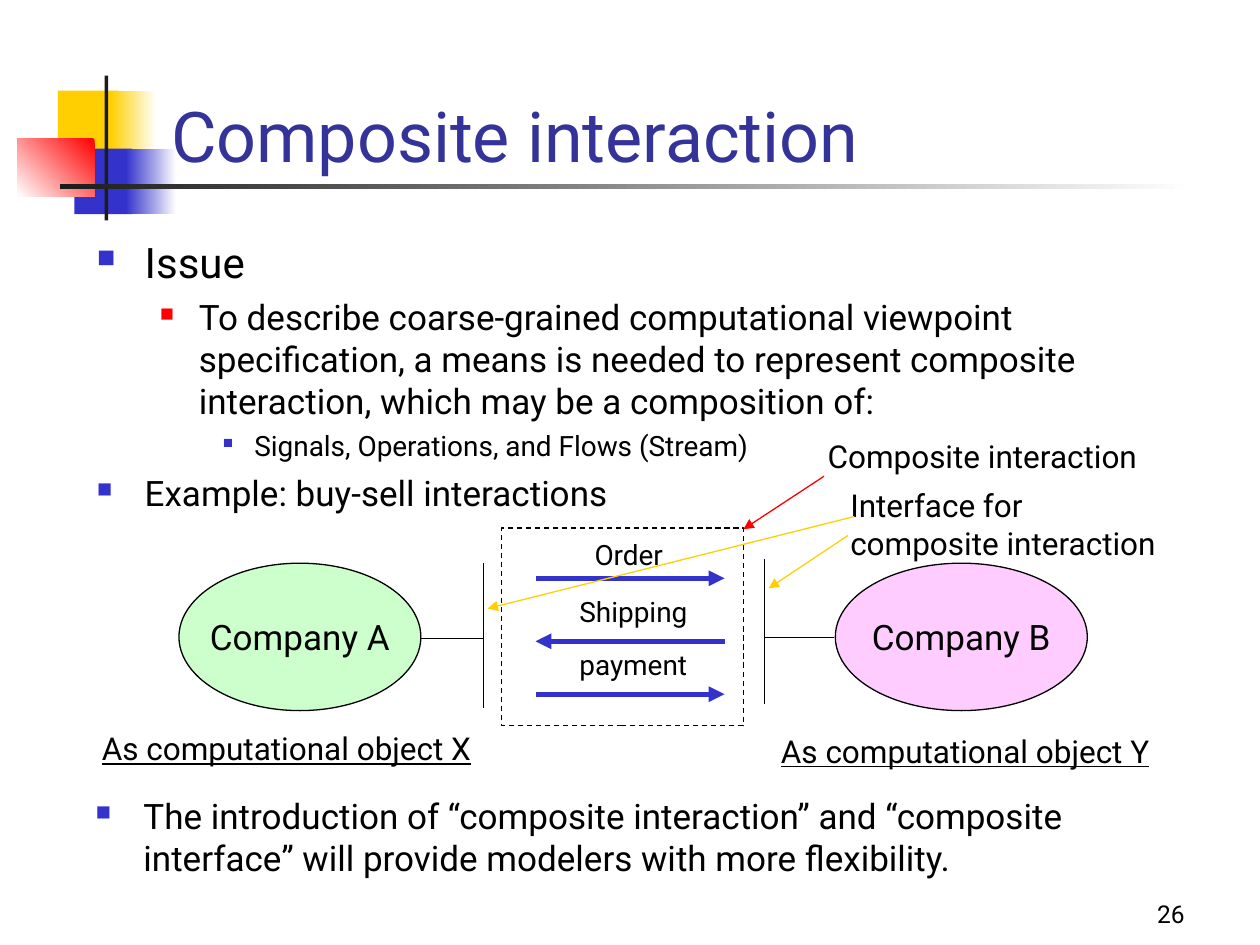
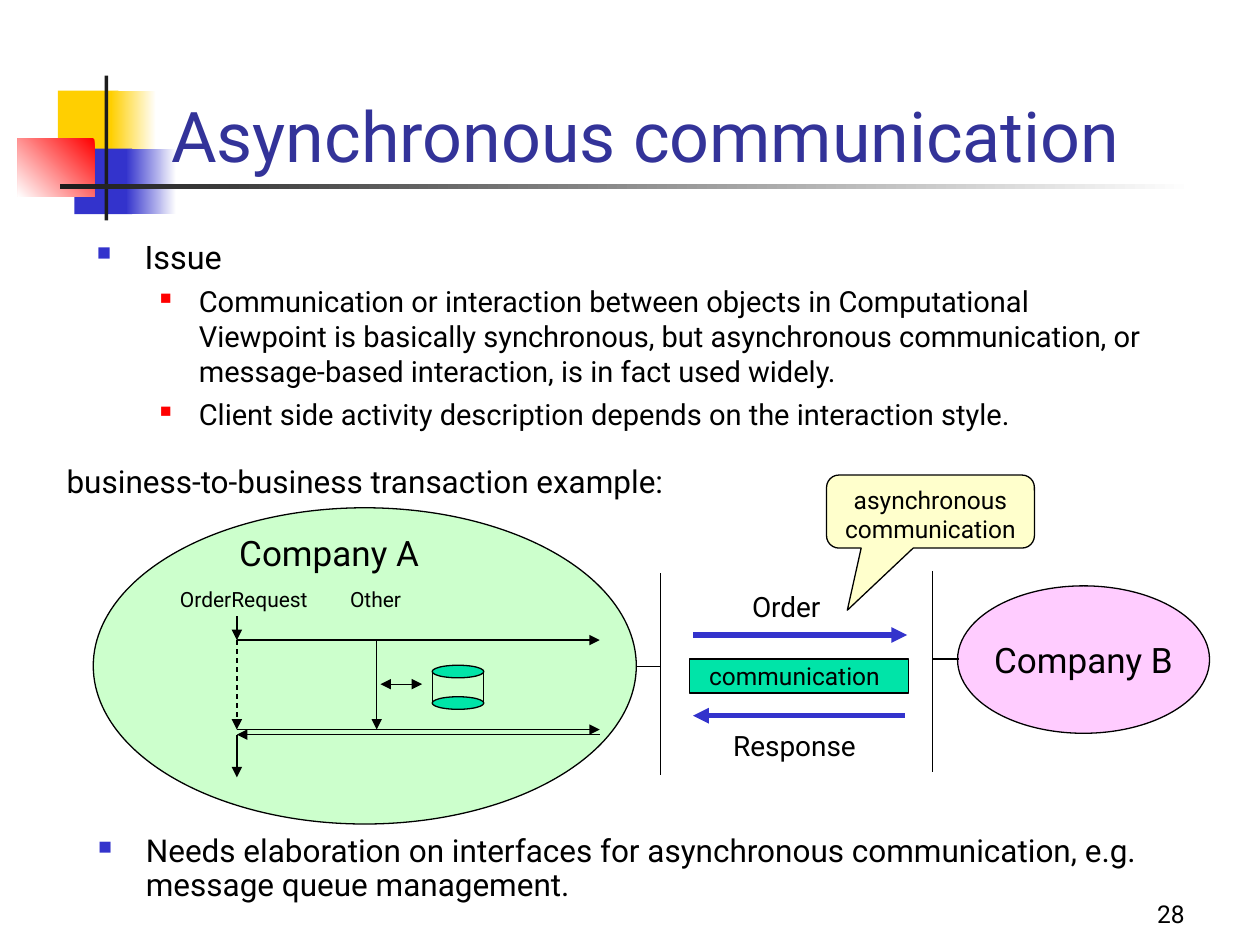
from lxml import etree
from pptx import Presentation
from pptx.dml.color import RGBColor
from pptx.enum.dml import MSO_LINE_DASH_STYLE as Dash
from pptx.enum.shapes import MSO_CONNECTOR_TYPE as Connector
from pptx.enum.shapes import MSO_SHAPE as Shape
from pptx.enum.text import MSO_ANCHOR as Anchor
from pptx.enum.text import MSO_AUTO_SIZE as AutoSize
from pptx.enum.text import PP_ALIGN as Align
from pptx.oxml.ns import qn
from pptx.util import Inches, Pt

FONT = "Roboto"
BLACK = RGBColor(0x00, 0x00, 0x00)
WHITE = RGBColor(0xFF, 0xFF, 0xFF)
CHARCOAL = RGBColor(0x1C, 0x1C, 0x1C)
TITLE_BLUE = RGBColor(0x33, 0x33, 0x99)
BLUE = RGBColor(0x33, 0x33, 0xCC)
RED = RGBColor(0xFF, 0x00, 0x00)
YELLOW = RGBColor(0xFF, 0xCF, 0x01)
PALE_GREEN = RGBColor(0xCC, 0xFF, 0xCC)
PALE_PINK = RGBColor(0xFF, 0xCC, 0xFF)
PALE_YELLOW = RGBColor(0xFF, 0xFF, 0xCC)
TEAL = RGBColor(0x00, 0xE4, 0xA8)

# Text indent, hanging indent, bullet colour, bullet size in percent
LEVELS = [
    (0.38, 0.38, BLUE, 60),
    (0.81, 0.31, RED, 55),
    (1.25, 0.25, BLUE, 50),
]


def write(para, text, size=18, color=BLACK, align=Align.LEFT, underline=False):
    """Add the text to the paragraph as one formatted span."""
    para.alignment = align
    span = para.add_run()
    span.text = text
    span.font.name = FONT
    span.font.size = Pt(size)
    span.font.color.rgb = color
    if underline:
        span.font.underline = True


def add_text(page, place, text, anchor=Anchor.TOP, **style):
    box = page.shapes.add_textbox(*map(Inches, place))
    box.text_frame.word_wrap = True
    box.text_frame.vertical_anchor = anchor
    write(box.text_frame.paragraphs[0], text, **style)


def add_label(page, left, top, width, text, size=18, **style):
    """Add unwrapped text, one paragraph for each line."""
    lines = text.split("\n")
    height = 0.1 + 0.017 * size * len(lines)
    box = page.shapes.add_textbox(*map(Inches, (left, top, width, height)))
    frame = box.text_frame
    frame.word_wrap = False
    frame.auto_size = AutoSize.SHAPE_TO_FIT_TEXT
    for index, line in enumerate(lines):
        para = frame.add_paragraph() if index else frame.paragraphs[0]
        write(para, line, size=size, **style)


def set_bullet(para, level):
    indent, hanging, color, percent = LEVELS[level]
    props = para._p.get_or_add_pPr()
    props.set("marL", str(Inches(indent)))
    props.set("indent", str(-Inches(hanging)))
    bullet_color = etree.SubElement(props, qn("a:buClr"))
    etree.SubElement(bullet_color, qn("a:srgbClr"), val=str(color))
    etree.SubElement(props, qn("a:buSzPct"), val=str(percent * 1000))
    etree.SubElement(props, qn("a:buChar"), char="■")


def add_bullets(page, place, items, line_spacing=None):
    """Add a list of (level, size, space before, text)."""
    box = page.shapes.add_textbox(*map(Inches, place))
    frame = box.text_frame
    frame.word_wrap = True
    for index, (level, size, space, text) in enumerate(items):
        para = frame.add_paragraph() if index else frame.paragraphs[0]
        set_bullet(para, level)
        if index:
            para.space_before = Pt(space)
        if line_spacing:
            para.line_spacing = line_spacing
        write(para, text, size=size)


def add_figure(page, kind, place, fill=None, line=BLACK, dash=None):
    figure = page.shapes.add_shape(kind, *map(Inches, place))
    figure.shadow.inherit = False
    if fill is None:
        figure.fill.background()
    else:
        figure.fill.solid()
        figure.fill.fore_color.rgb = fill
    if line is None:
        figure.line.fill.background()
    else:
        figure.line.color.rgb = line
        figure.line.width = Pt(0.75)
    if dash:
        figure.line.dash_style = dash
    return figure


def add_gradient(page, place, start, end, angle=180):
    bar = add_figure(page, Shape.RECTANGLE, place, line=None)
    bar.fill.gradient()
    bar.fill.gradient_angle = angle
    for stop, color, position in zip(bar.fill.gradient_stops, (start, end), (0, 1)):
        stop.color.rgb = color
        stop.position = position


def add_line(page, start, end, color=BLACK, width=0.75, dash=None, head=False, tail=False):
    """Draw a line, with an arrowhead at its start (head) or end (tail)."""
    line = page.shapes.add_connector(Connector.STRAIGHT, *map(Inches, (*start, *end)))
    line.line.color.rgb = color
    line.line.width = Pt(width)
    if dash:
        line.line.dash_style = dash
    for wanted, tag in ((head, "a:headEnd"), (tail, "a:tailEnd")):
        if wanted:
            etree.SubElement(line.get_or_add_ln(), qn(tag), type="triangle")
    etree.SubElement(line._element.spPr, qn("a:effectLst"))


def add_arrow(page, start, end, **style):
    add_line(page, start, end, tail=True, **style)


def add_message(page, start, end):
    add_arrow(page, start, end, color=BLUE, width=3)


def add_company(page, left, top, width, name, fill):
    ellipse = add_figure(page, Shape.OVAL, (left, top, width, 1.17), fill)
    frame = ellipse.text_frame
    frame.word_wrap = False
    frame.vertical_anchor = Anchor.MIDDLE
    write(frame.paragraphs[0], name, size=20, align=Align.CENTER)


def add_store(page, left, top, width=0.41, lid=0.1, height=0.25):
    """Draw a data store as a cylinder with two lids."""
    middle = top + lid / 2
    for lid_top in (top, top + height):
        add_figure(page, Shape.OVAL, (left, lid_top, width, lid), TEAL)
    for x in (left, left + width):
        add_line(page, (x, middle), (x, middle + height))


def add_page(deck, title, number):
    """Add a slide with the corner ornament, the title and the number."""
    page = deck.slides.add_slide(deck.slide_layouts[6])
    add_figure(page, Shape.RECTANGLE, (0.46, 0.72, 0.48, 0.52), YELLOW, line=None)
    add_gradient(page, (0.88, 0.72, 0.36, 0.52), WHITE, YELLOW)
    add_figure(page, Shape.RECTANGLE, (0.59, 1.18, 0.46, 0.52), BLUE, line=None)
    add_gradient(page, (1, 1.18, 0.4, 0.52), WHITE, BLUE)
    add_gradient(page, (0.14, 1.1, 0.61, 0.46), RED, WHITE, angle=225)
    add_figure(page, Shape.RECTANGLE, (0.83, 0.6, 0.03, 1.15), CHARCOAL, line=None)
    add_gradient(page, (0.48, 1.46, 9, 0.04), WHITE, CHARCOAL)
    add_text(page, (1.26, 0.52, 8.52, 0.93), title, anchor=Anchor.BOTTOM,
             size=40, color=TITLE_BLUE)
    add_text(page, (7.42, 6.92, 2.08, 0.5), str(number), anchor=Anchor.BOTTOM,
             size=14, align=Align.RIGHT)
    return page


def build_composite(deck):
    page = add_page(deck, "Composite interaction", 26)
    add_bullets(page, (0.67, 1.83, 8.92, 4.5), [
        (0, 24, 6, "Issue"),
        (1, 20, 5, "To describe coarse-grained computational viewpoint specification, "
                   "a means is needed to represent composite interaction, "
                   "which may be a composition of:"),
        (2, 16, 4, "Signals, Operations, and Flows (Stream)"),
        (0, 20, 5, "Example: buy-sell interactions"),
    ])

    add_company(page, 1.42, 4.47, 1.92, "Company A", PALE_GREEN)
    add_company(page, 6.63, 4.47, 2, "Company B", PALE_PINK)
    add_label(page, 0.71, 5.74, 3.25, "As computational object X", underline=True)
    add_label(page, 6.1, 5.76, 3.24, "As computational object Y", underline=True)

    buyer_side, seller_side = 4.25, 5.75
    for text, left, top, width, y, start, end in (
        ("Order", 4.62, 4.22, 0.82, 4.59, buyer_side, seller_side),
        ("Shipping", 4.5, 4.67, 1.12, 5.09, seller_side, buyer_side),
        ("payment", 4.5, 5.09, 1.12, 5.51, buyer_side, seller_side),
    ):
        add_message(page, (start, y), (end, y))
        add_label(page, left, top, width, text, size=16)

    for x, top in ((3.84, 4.47), (6.07, 4.44)):
        add_line(page, (x, top), (x, top + 1.15))
    add_line(page, (3.34, 5.07), (3.84, 5.07))
    add_line(page, (6.07, 5.06), (6.62, 5.06))
    add_figure(page, Shape.RECTANGLE, (3.98, 4.19, 1.92, 1.57), dash=Dash.DASH)

    add_arrow(page, (6.54, 3.78), (5.9, 4.2), color=RED)
    add_label(page, 6.47, 3.42, 2.8, "Composite interaction")
    add_arrow(page, (6.73, 4.25), (6.1, 4.67), color=YELLOW)
    add_label(page, 6.65, 3.81, 2.76, "Interface for\ncomposite interaction")
    add_arrow(page, (6.78, 4.1), (3.87, 4.83), color=YELLOW)

    add_bullets(page, (0.66, 6.26, 8.42, 0.85), [
        (0, 20, 5, "The introduction of “composite interaction” and “composite interface” "
                   "will provide modelers with more flexibility."),
    ])


def add_order_process(page):
    """Draw the activity of company A inside its ellipse."""
    add_figure(page, Shape.OVAL, (0.74, 4.03, 4.31, 2.51), PALE_GREEN)
    add_label(page, 1.8, 4.17, 1.69, "Company A", size=20)
    add_label(page, 1.33, 4.61, 1.28, "OrderRequest", size=12)
    add_label(page, 2.68, 4.61, 0.65, "Other", size=12)

    request_x, other_x, edge_x = 1.88, 2.99, 4.76
    send_y, wait_end_y, reply_y = 5.08, 5.79, 5.83
    add_arrow(page, (request_x, 4.89), (request_x, send_y))
    add_arrow(page, (request_x, send_y), (edge_x, send_y))
    add_arrow(page, (request_x, send_y), (request_x, wait_end_y), dash=Dash.DASH)
    add_arrow(page, (request_x, wait_end_y), (edge_x, wait_end_y))
    add_arrow(page, (other_x, send_y), (other_x, wait_end_y))
    add_arrow(page, (3.02, 5.43), (3.35, 5.43), head=True)
    add_store(page, 3.43, 5.28)
    add_arrow(page, (request_x, reply_y), (request_x, 6.17))
    add_arrow(page, (edge_x, reply_y), (request_x, reply_y))


def build_asynchronous(deck):
    page = add_page(deck, "Asynchronous communication", 28)
    add_bullets(page, (0.67, 1.83, 8.59, 2.01), [
        (0, 18.5, 5, "Issue"),
        (1, 16.6, 4.5, "Communication or interaction between objects in Computational "
                       "Viewpoint is basically synchronous, but asynchronous communication, "
                       "or message-based interaction, is in fact used widely."),
        (1, 16.6, 4.5, "Client side activity description depends on the interaction style."),
    ])
    add_label(page, 0.43, 3.62, 5.19, "business-to-business transaction example:")

    add_order_process(page)
    add_company(page, 7.6, 4.65, 2, "Company B", PALE_PINK)

    add_message(page, (5.5, 5.04), (7.2, 5.04))
    add_label(page, 5.87, 4.63, 0.82, "Order", size=16)
    add_message(page, (7.18, 5.68), (5.5, 5.68))
    add_label(page, 5.72, 5.73, 1.21, "Response", size=16)
    add_figure(page, Shape.RECTANGLE, (5.47, 5.23, 1.74, 0.27), TEAL)
    add_label(page, 5.53, 5.2, 1.63, "communication", size=14)

    callout = add_figure(page, Shape.ROUNDED_RECTANGULAR_CALLOUT,
                         (6.56, 3.77, 1.65, 0.58), PALE_YELLOW)
    for index, value in enumerate((-0.4, 1.35, 0.17)):
        callout.adjustments[index] = value
    callout.text_frame.word_wrap = True
    callout.text_frame.vertical_anchor = Anchor.TOP
    write(callout.text_frame.paragraphs[0], "asynchronous communication",
          size=14, align=Align.CENTER)

    for x, top in ((5.24, 4.55), (7.4, 4.53)):
        add_line(page, (x, top), (x, top + 1.6))
    add_line(page, (5.05, 5.29), (5.24, 5.29))
    add_line(page, (7.4, 5.23), (7.61, 5.23))

    add_bullets(page, (0.68, 6.58, 8.7, 0.72), [
        (0, 18, 4.5, "Needs elaboration on interfaces for asynchronous communication, "
                     "e.g. message queue management."),
    ], line_spacing=0.9)


def main():
    deck = Presentation()
    deck.slide_width = Inches(10)
    deck.slide_height = Inches(7.5)
    build_composite(deck)
    build_asynchronous(deck)
    deck.save("out.pptx")


if __name__ == "__main__":
    main()
